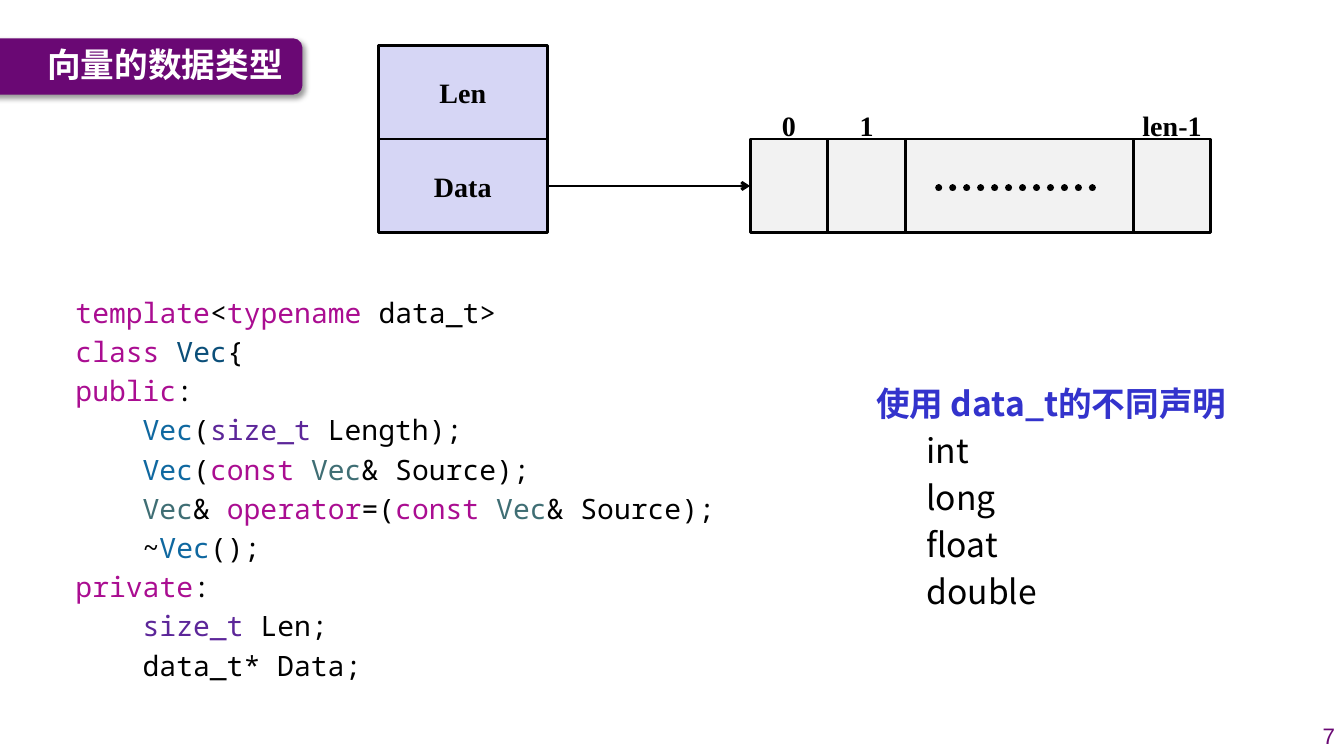
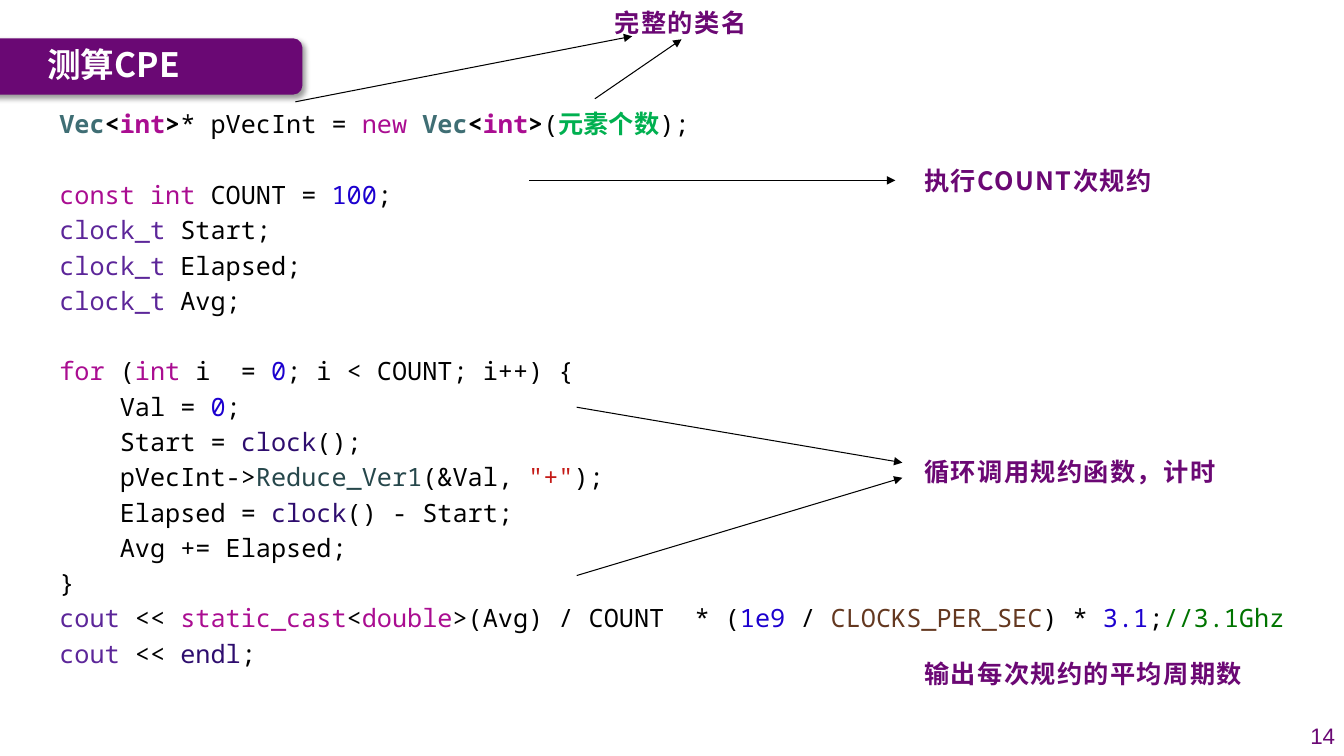
from lxml import etree
from pptx import Presentation
from pptx.dml.color import RGBColor
from pptx.enum.dml import MSO_LINE
from pptx.enum.shapes import MSO_CONNECTOR, MSO_SHAPE
from pptx.enum.text import MSO_ANCHOR, PP_ALIGN
from pptx.oxml.ns import qn
from pptx.util import Inches, Pt

PURPLE, CALLOUT, BLUE = "6A0874", "6B0874", "3333CC"
BLACK, WHITE, LAVENDER, GREY = "000000", "FFFFFF", "D6D6F5", "F2F2F2"
HAN, MONO, SERIF, PLAIN = "Noto Sans CJK SC", "Noto Sans Mono", "Times New Roman", "Arial"
GAP = 0.2  # space before a paragraph, as a share of its text size

# Code markup: [key|text] colours the text; a capital key also makes it bold.
CODE_COLOURS = {
    "p": BLACK, "k": "AA0D91", "d": "0B4F79", "m": "0F68A0", "t": "5C2699",
    "c": "3F6E74", "g": "00B050", "n": "1C00CF", "f": "2E0D6E", "r": "26474B",
    "s": "C41A16", "x": "643820", "o": "007400",
}

VECTOR_CODE = [[
    "[k|template]<[k|typename ]data_t>",
    "[k|class ][d|Vec]{",
    "[k|public]:",
    "    [m|Vec]([t|size_t] Length);",
    "    [m|Vec]([k|const ][c|Vec]& Source);",
    "    [c|Vec]& [k|operator]=([k|const ][c|Vec]& Source);",
    "    ~[m|Vec]();",
    "[k|private]:",
    "    [t|size_t] Len;",
    "    data_t* Data;",
]]

TIMING_CODE = [
    ["[C|Vec][P|<][K|int][P|>]* pVecInt = [k|new ][C|Vec][P|<][K|int][P|>]([G|元素个数]);"],
    [
        "[k|const int] COUNT = [n|100];",
        "[t|clock_t] Start;",
        "[t|clock_t] Elapsed;",
        "[t|clock_t] Avg;",
    ],
    [
        "[k|for] ([k|int ]i  = [n|0]; i < COUNT; i++) {",
        "    Val = [n|0];",
        "    Start = [f|clock]();",
        "    pVecInt->[r|Reduce_Ver1](&Val, [s|\"+\"]);",
        "    Elapsed = [f|clock]() - Start;",
        "    Avg += Elapsed;",
        "}",
        "[t|cout] << [k|static_cast]<[k|double]>(Avg) / COUNT  * ([n|1e9] / "
        "[x|CLOCKS_PER_SEC]) * [n|3.1];[o|//3.1Ghz]",
        "[t|cout] << [f|endl];",
    ],
]

FIELDS = ["Len", "Data"]
CELLS = [("0", 0.77), ("1", 0.77), (None, 2.26), ("len-1", 0.77)]
TYPES_HEADING = "使用 data_t的不同声明"
TYPES = ["int", "long", "float", "double"]

CALLOUTS = [
    ("完整的类名", 6, 0.02, 1.53),
    ("执行COUNT次规约", 9.07, 1.59, 2.55),
    ("循环调用规约函数，计时", 9.07, 4.48, 3.13),
    ("输出每次规约的平均周期数", 9.07, 6.48, 3.4),
]
POINTERS = [
    (2.93, 1.01, 6.27, 0.36),
    (5.9, 0.98, 6.76, 0.39),
    (5.25, 1.79, 8.88, 1.79),
    (5.72, 4.04, 8.95, 4.59),
    (5.72, 5.71, 8.95, 4.74),
]


def rgb(code):
    return RGBColor.from_string(code)


def style(span, size, font, colour, bold=False, spacing=0):
    span.font.size, span.font.name, span.font.bold = Pt(size), font, bold
    span.font.color.rgb = rgb(colour)
    props = span._r.get_or_add_rPr()
    etree.SubElement(props, qn("a:ea")).set("typeface", HAN)
    if spacing:
        props.set("spc", str(spacing * 100))


def indent(para, inches):
    para._p.get_or_add_pPr().set("marL", str(Inches(inches)))


def place(shape, left, top, width, height):
    shape.left, shape.top = Inches(left), Inches(top)
    shape.width, shape.height = Inches(width), Inches(height)


def add_box(page, left, top, width, height, wrap=True):
    box = page.shapes.add_textbox(*map(Inches, (left, top, width, height)))
    box.text_frame.word_wrap = wrap
    return box


def write(frame, text, *look, align=PP_ALIGN.LEFT, anchor=MSO_ANCHOR.TOP, **extra):
    """Put one styled paragraph in the frame and return it."""
    frame.text = text
    frame.vertical_anchor = anchor
    para = frame.paragraphs[0]
    para.alignment = align
    style(para.runs[0], *look, **extra)
    return para


def add_panel(page, kind, left, top, width, height, fill, line=None):
    panel = page.shapes.add_shape(kind, *map(Inches, (left, top, width, height)))
    panel.shadow.inherit = False
    panel.fill.solid()
    panel.fill.fore_color.rgb = rgb(fill)
    if line:
        panel.line.color.rgb = rgb(line)
        panel.line.width = Pt(2)
    else:
        panel.line.fill.background()
    return panel


def add_line(page, x1, y1, x2, y2, width, head=None, dotted=False):
    link = page.shapes.add_connector(
        MSO_CONNECTOR.STRAIGHT, *map(Inches, (x1, y1, x2, y2)))
    link.line.color.rgb = rgb(BLACK)
    link.line.width = Pt(width)
    outline = link.line._get_or_add_ln()
    if dotted:
        link.line.dash_style = MSO_LINE.ROUND_DOT
        outline.set("cap", "rnd")
    if head:
        etree.SubElement(outline, qn("a:tailEnd")).set("type", head)
    etree.SubElement(link._element.spPr, qn("a:effectLst"))
    return link


def cast_shadow(shape):
    effects = shape._element.spPr.find(qn("a:effectLst"))
    shadow = etree.SubElement(
        effects, qn("a:outerShdw"), blurRad=str(Pt(4)), dist=str(Pt(3)),
        dir=str(45 * 60000), algn="tl", rotWithShape="0")
    colour = etree.SubElement(shadow, qn("a:srgbClr"), val=BLACK)
    etree.SubElement(colour, qn("a:alpha"), val="40000")


def add_page(deck, title, number):
    """Add a slide with the title band and page number."""
    page = deck.slides.add_slide(deck.slide_layouts[5])
    band = add_panel(page, MSO_SHAPE.ROUNDED_RECTANGLE, -0.7, 0.38, 3.7, 0.56, PURPLE)
    cast_shadow(band)
    page.shapes._spTree.insert(2, band._element)
    heading = page.shapes.title
    place(heading, 0.37, 0.36, 2.64, 0.55)
    write(heading.text_frame, title, 24, HAN, WHITE, True, anchor=MSO_ANCHOR.MIDDLE)
    corner = add_box(page, 12.79, 7.1, 0.55, 0.4)
    write(corner.text_frame, str(number), 16, PLAIN, PURPLE,
          align=PP_ALIGN.RIGHT, anchor=MSO_ANCHOR.MIDDLE)
    return page


def code_spans(line):
    """Split a marked-up line into (text, colour, bold)."""
    start, *marked = line.split("[")
    spans = [(start, BLACK, False)]
    for piece in marked:
        key, rest = piece.split("|", 1)
        inside, after = rest.split("]", 1)
        spans += [(inside, CODE_COLOURS[key.lower()], key.isupper()),
                  (after, BLACK, False)]
    return [span for span in spans if span[0]]


def add_code(page, blocks, size, left, top, width, height, margin=0):
    frame = add_box(page, left, top, width, height).text_frame
    character, gap, pitch = size * 0.6 / 72, size * GAP, size * 1.4
    for block_number, block in enumerate(blocks):
        for row, line in enumerate(block):
            first = block_number == row == 0
            para = frame.paragraphs[0] if first else frame.add_paragraph()
            code = line.lstrip()
            indent(para, margin + (len(line) - len(code)) * character)
            new_block = block_number and row == 0
            para.space_before = Pt(gap + (pitch if new_block else 0))
            for text, colour, bold in code_spans(code):
                span = para.add_run()
                span.text = text
                style(span, size, MONO, colour, bold)


def add_memory_diagram(page):
    top, height = 0.45, 0.93
    size = 20
    label = (size, SERIF, BLACK, True)
    for row, name in enumerate(FIELDS):
        field = add_panel(page, MSO_SHAPE.RECTANGLE, 3.75, top + row * height,
                          1.68, height, LAVENDER, BLACK)
        para = write(field.text_frame, name, *label,
                     align=PP_ALIGN.CENTER, anchor=MSO_ANCHOR.MIDDLE)
        para.space_before = Pt(size * GAP)
    left, top = 7.44, top + height
    middle = top + height / 2
    cells = []
    for name, width in CELLS:
        cells.append(add_panel(page, MSO_SHAPE.RECTANGLE, left, top,
                               width, height, GREY, BLACK))
        if name:
            caption = add_box(page, left + width / 2 - 0.5, 1.03, 1, 0.45, wrap=False)
            para = write(caption.text_frame, name, *label, align=PP_ALIGN.CENTER)
            para.space_before = Pt(size * GAP)
        else:
            add_line(page, left + 0.33, middle + 0.02, left + 1.92, middle + 0.02,
                     5, dotted=True)
        left += width
    arrow = add_line(page, 5.43, middle, 7.44, middle, 2, head="arrow")
    arrow.begin_connect(field, 3)
    arrow.end_connect(cells[0], 1)


def add_type_list(page):
    frame = add_box(page, 8.59, 3.75, 3.79, 2.42).text_frame
    size = 24
    write(frame, TYPES_HEADING, size, HAN, BLUE, True)
    for name in TYPES:
        para = frame.add_paragraph()
        para.text, para.level = name, 1
        indent(para, 0.5)
        style(para.runs[0], size, HAN, BLACK)
    for para in frame.paragraphs:
        para.space_before = Pt(size * GAP)


def add_callout(page, text, left, top, width):
    size = 18
    box = add_box(page, left, top, width, 0.4)
    para = write(box.text_frame, text, size, HAN, CALLOUT, True, spacing=1)
    para.space_before = Pt(size * GAP)


def main():
    deck = Presentation()
    deck.slide_width, deck.slide_height = Inches(13.33), Inches(7.5)

    page = add_page(deck, "向量的数据类型", 7)
    add_memory_diagram(page)
    add_type_list(page)
    add_code(page, VECTOR_CODE, 20, 0.65, 2.88, 6.79, 4.15)

    page = add_page(deck, "测算CPE", 14)
    add_code(page, TIMING_CODE, 18, -0.11, 1.03, 13.62, 6.22, margin=0.6)
    for callout in CALLOUTS:
        add_callout(page, *callout)
    for ends in POINTERS:
        add_line(page, *ends, 0.75, head="triangle")

    deck.save("out.pptx")


if __name__ == "__main__":
    main()
